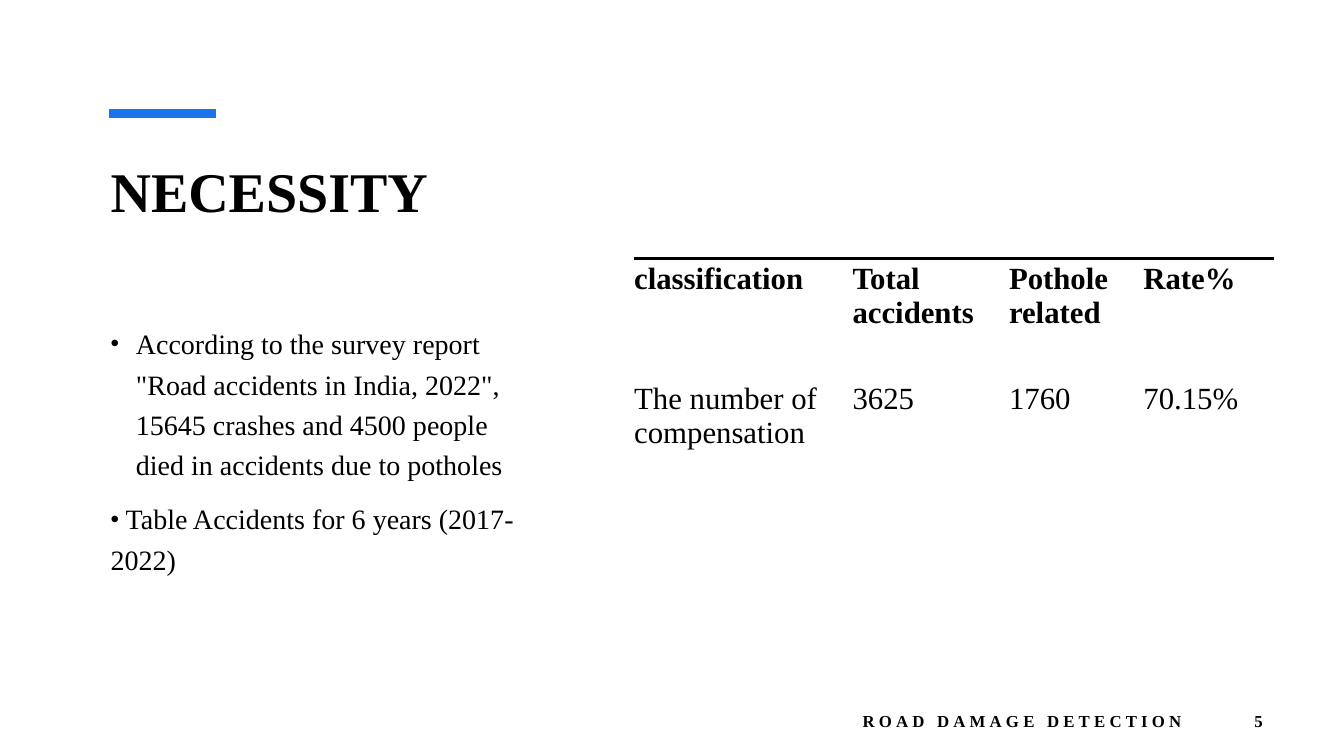
from pptx import Presentation
from pptx.dml.color import RGBColor
from pptx.enum.shapes import MSO_CONNECTOR
from pptx.enum.text import MSO_ANCHOR, PP_ALIGN
from pptx.oxml.ns import qn
from pptx.util import Pt
from lxml.etree import SubElement

PX = 9525  # EMU in one px, 96 px to the inch
FONT = "Times New Roman"
HUES = {"ink": "000000", "bar": "1973EB"}
NO_STYLE = "{2D5ABB26-0587-4C30-8999-92F81FD0307C}"


def write(frame, text, size, bold=False, align=PP_ALIGN.LEFT, line=None,
          before=0, track=0, hang=None):
    """Fill the last empty paragraph; hang is the bullet's indent in px."""
    para = frame.paragraphs[-1]
    if para.runs:
        para = frame.add_paragraph()
    para.alignment, para.line_spacing = align, line
    para.space_before = Pt(before)
    run = para.add_run()
    run.text = text
    run.font.name, run.font.size, run.font.bold = FONT, Pt(size), bold
    run.font.color.rgb = RGBColor.from_string(HUES["ink"])
    if track:
        run.font._element.set("spc", str(track * 100))
    if hang is not None:
        props = para._p.get_or_add_pPr()
        props.set("marL", str(hang * PX))
        props.set("indent", str(-hang * PX))
        SubElement(props, qn("a:buSzPct"), val="87000")
        SubElement(props, qn("a:buFont"), typeface="Arial")
        SubElement(props, qn("a:buChar"), char="•")


def box(left, top, width, height, anchor=MSO_ANCHOR.TOP):
    frame = slide.shapes.add_textbox(
        left * PX, top * PX, width * PX, height * PX).text_frame
    frame.word_wrap, frame.vertical_anchor = True, anchor
    return frame


deck = Presentation()
deck.slide_width, deck.slide_height = 1280 * PX, 720 * PX
slide = deck.slides.add_slide(deck.slide_layouts[6])

# Title and accent bar
bar = slide.shapes.add_connector(
    MSO_CONNECTOR.STRAIGHT, 104 * PX, 108 * PX, 206 * PX, 108 * PX)
bar.line.color.rgb = RGBColor.from_string(HUES["bar"])
bar.line.width = Pt(6)
SubElement(bar._element.spPr, qn("a:effectLst"))
write(box(96, 144, 428, 138), "NECESSITY", 40, bold=True)

# Bullets
points = [
    ('According to the survey report "Road accidents in India, 2022", '
     "15645 crashes and 4500 people died in accidents due to potholes", 24),
    (" Table Accidents for 6 years (2017-2022)", 0),
]
body = box(96, 300, 428, 324)
for text, hang in points:
    write(body, text, 20, line=1.2, before=10, hang=hang)

# Accident table
rows = [
    ["classification", "Total accidents", "Pothole related", "Rate%"],
    ["The number of compensation", "3625", "1760", "70.15%"],
]
widths = [208, 149, 128, 124]
table = slide.shapes.add_table(
    len(rows), len(widths), 604 * PX, 246 * PX, sum(widths) * PX, 228 * PX).table
table._tbl.tblPr.find(qn("a:tableStyleId")).text = NO_STYLE
for col, width in zip(table.columns, widths):
    col.width = width * PX
for r, row in enumerate(rows):
    for c, text in enumerate(row):
        cell = table.cell(r, c)
        cell.margin_left, cell.margin_top = 0, 4 * PX
        cell.margin_right, cell.margin_bottom = 11 * PX, 32 * PX
        write(cell.text_frame, text, 22, bold=r == 0)
        if r == 0:
            edge = SubElement(cell._tc.get_or_add_tcPr(), qn("a:lnT"),
                              w=str(Pt(2.25)))
            fill = SubElement(edge, qn("a:solidFill"))
            SubElement(fill, qn("a:srgbClr"), val=HUES["ink"])
        cell.fill.background()

# Footer
for text, left, width in [("ROAD DAMAGE DETECTION", 710, 425), ("5", 1135, 77)]:
    write(box(left, 667, width, 38, MSO_ANCHOR.MIDDLE), text, 12, bold=True,
          align=PP_ALIGN.RIGHT, track=3)

deck.save("out.pptx")
